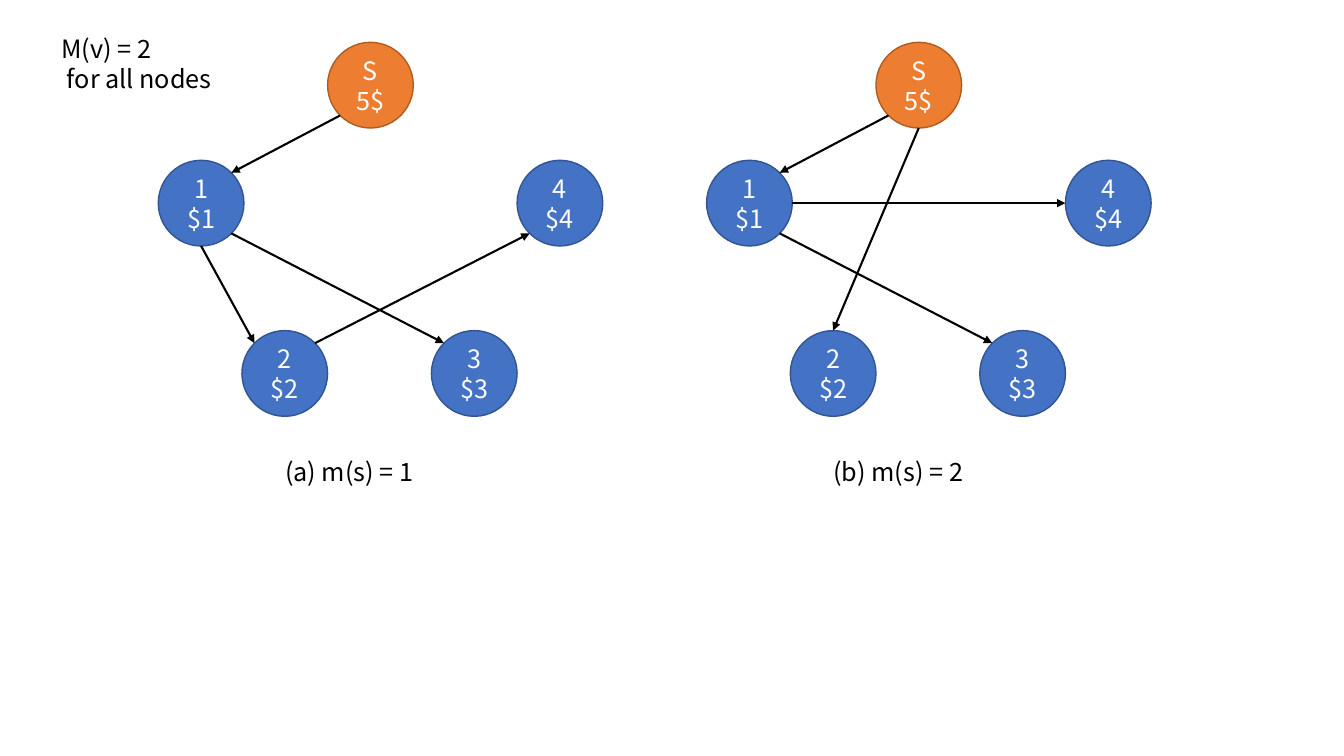
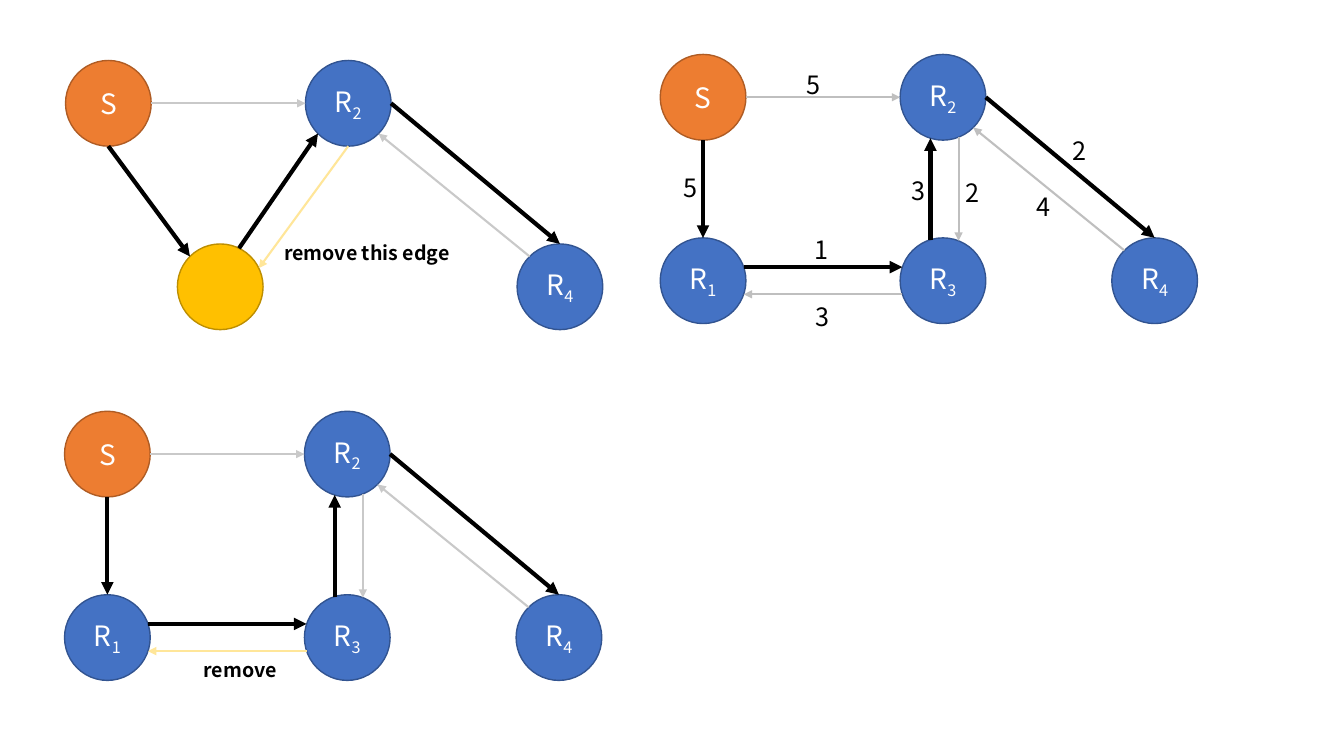
"""Build two slides of node-and-arrow diagrams on multicast trees."""
import math

import lxml.etree
import pptx
import pptx.dml.color
import pptx.enum.shapes
import pptx.enum.text
import pptx.oxml.ns
import pptx.util

FONT = "Noto Sans CJK JP"
BLACK, WHITE = "000000", "FFFFFF"
SOURCE = ("ED7D31", "AF5C24")
RECEIVER = ("4472C4", "325491")
LEAVING = ("FFC000", "BD8E00")
REMOVED = "FFE699"
DIAMETER = 61.2
E, SE, S, SW, W, NW, N, NE = range(0, 360, 45)
THIN, THICK = 1.5, 3
ROW_STEP = 131.04
R2_LEFT, R4_LEFT = 171.36, 322.56
TREE_NODES = {
    "S": (120.96, 0, ["S 5$"]),
    "1": (0, 84.24, ["1", "$1"]),
    "2": (59.76, 205.92, ["2", "$2"]),
    "3": (195.12, 205.92, ["3", "$3"]),
    "4": (256.32, 84.24, ["4", "$4"]),
}
SQUARE_NODES = {
    "S": (0, 0, SOURCE),
    "R_1": (0, ROW_STEP, RECEIVER),
    "R_2": (R2_LEFT, 0, RECEIVER),
    "R_3": (R2_LEFT, ROW_STEP, RECEIVER),
    "R_4": (R4_LEFT, ROW_STEP, RECEIVER),
}
TRIANGLE_NODES = {
    "S": (0, 0, SOURCE),
    "": (79.92, ROW_STEP, LEAVING),
    "R_2": (R2_LEFT, 0, RECEIVER),
    "R_4": (R4_LEFT, ROW_STEP, RECEIVER),
}


def rgb(value):
    """Turn a hex string into a colour."""
    return pptx.dml.color.RGBColor.from_string(value)


def write(frame, paragraphs, size=18, color=BLACK, bold=False, align="LEFT"):
    """Write paragraphs; an underscore starts a subscript."""
    frame.word_wrap = True
    for index, words in enumerate(paragraphs):
        paragraph = frame.paragraphs[0] if index == 0 else frame.add_paragraph()
        paragraph.alignment = getattr(pptx.enum.text.PP_ALIGN, align)
        for level, part in enumerate(words.split("_")):
            run = paragraph.add_run()
            run.text = part
            run.font.name = FONT
            run.font.size = pptx.util.Pt(size)
            run.font.bold = bold
            run.font.color.rgb = rgb(color)
            if level:
                run.font._element.set("baseline", "-25000")


def add_label(shapes, left, top, width, height, paragraphs, **style):
    """Place a text box."""
    box = shapes.add_textbox(*map(pptx.util.Pt, (left, top, width, height)))
    write(box.text_frame, paragraphs, **style)


def add_node(shapes, left, top, colors, paragraphs, size):
    """Draw a round node and return its centre."""
    node = shapes.add_shape(
        pptx.enum.shapes.MSO_SHAPE.OVAL,
        *map(pptx.util.Pt, (left, top, DIAMETER, DIAMETER)))
    node.shadow.inherit = False
    node.fill.solid()
    node.fill.fore_color.rgb = rgb(colors[0])
    node.line.color.rgb = rgb(colors[1])
    node.line.width = pptx.util.Pt(1)
    node.text_frame.vertical_anchor = pptx.enum.text.MSO_ANCHOR.MIDDLE
    if any(paragraphs):
        write(node.text_frame, paragraphs, size=size, color=WHITE, align="CENTER")
    return left + DIAMETER / 2, top + DIAMETER / 2


def rim_point(center, degrees):
    """Find the point on a node's rim, clockwise from east."""
    angle = math.radians(degrees)
    return (center[0] + DIAMETER / 2 * math.cos(angle),
            center[1] + DIAMETER / 2 * math.sin(angle))


def add_edge(shapes, start, end, color=BLACK, width=THIN):
    """Draw an arrow between two points."""
    edge = shapes.add_connector(
        pptx.enum.shapes.MSO_CONNECTOR.STRAIGHT,
        *map(pptx.util.Pt, (*start, *end)))
    edge.line.color.rgb = rgb(color)
    edge.line.width = pptx.util.Pt(width)
    qn = pptx.oxml.ns.qn
    properties = edge._element.spPr
    lxml.etree.SubElement(properties.find(qn("a:ln")), qn("a:tailEnd"), type="triangle")
    lxml.etree.SubElement(properties, qn("a:effectLst"))


def add_tree(shapes, left, edges, caption):
    """Draw a priced tree with its caption."""
    top = 30.24
    centers = {}
    for name, (x, y, words) in TREE_NODES.items():
        colors = SOURCE if name == "S" else RECEIVER
        centers[name] = add_node(shapes, left + x, top + y, colors, words, 18)
    for origin, leave, target, arrive in edges:
        add_edge(shapes, rim_point(centers[origin], leave),
                 rim_point(centers[target], arrive))
    add_label(shapes, left + 83.52, 322.56, 136, 28.8, [caption])


def add_network(slide, left, top, nodes, edges, unused):
    """Draw a grouped network and return the group's shapes."""
    shapes = slide.shapes.add_group_shape().shapes
    centers = {name: add_node(shapes, left + x, top + y, colors, [name], 20)
               for name, (x, y, colors) in nodes.items()}
    shared = [
        ("S", E, "R_2", W, unused, THIN),
        ("R_2", E, "R_4", N, BLACK, THICK),
        ("R_4", NW, "R_2", SE, unused, THIN),
    ]
    for origin, leave, target, arrive, color, width in shared + edges:
        add_edge(shapes, rim_point(centers[origin], leave),
                 rim_point(centers[target], arrive), color, width)
    return shapes


def square_edges(unused, back):
    """List the edges around R1 and R3."""
    return [
        ("S", S, "R_1", N, BLACK, THICK),
        ("R_3", N - 17, "R_2", S + 17, BLACK, THICK),
        ("R_2", S - 21.4, "R_3", N + 21.4, unused, THIN),
        ("R_3", W - 18.5, "R_1", E + 18.5, back, THIN),
        ("R_1", E - 18.5, "R_3", W + 18.5, BLACK, THICK),
    ]


def build_trees(slide):
    """Fill the slide that compares two trees."""
    shared = [("S", SW, "1", NE), ("1", SE, "3", NW)]
    add_tree(slide.shapes, 113.04,
             shared + [("1", S, "2", NW), ("2", NE, "4", SW)], "(a) m(s) = 1")
    add_tree(slide.shapes, 504.72,
             shared + [("1", E, "4", W), ("S", S, "2", N)], "(b) m(s) = 2")
    add_label(slide.shapes, 36.72, 20.16, 136, 51.12, ["M(v) = 2", " for all nodes"])


def build_networks(slide):
    """Fill the slide on removing edges."""
    pale, grey = "C9C9C9", "BFBFBF"
    triangle_edges = [
        ("", -64, "R_2", SW, BLACK, THICK),
        ("S", S, "", NW, BLACK, THICK),
        ("R_2", S, "", -25.7, REMOVED, THIN),
    ]
    triangle = add_network(slide, 46.8, 43.2, TRIANGLE_NODES, triangle_edges, pale)
    add_label(triangle, 195.84, 168.48, 140, 24.48, ["remove this edge"],
              size=14, bold=True)

    left, top = 471.6, 38.88
    weighted = add_network(slide, left, top, SQUARE_NODES,
                           square_edges(grey, grey), grey)
    weights = [
        ("5", 9.4, 80.6), ("5", 97.2, 7.2), ("1", 103, 125.3), ("3", 103.7, 172.8),
        ("3", 172.1, 82.8), ("2", 211, 84.2), ("4", 261.4, 94.3), ("2", 287.3, 54),
    ]
    for weight, x, y in weights:
        add_label(weighted, left + x, top + y, 15.84, 28.8, [weight])

    reduced = add_network(slide, 46.08, 293.76, SQUARE_NODES,
                          square_edges(pale, REMOVED), pale)
    add_label(reduced, 138.24, 466.56, 68, 24.48, ["remove"], size=14, bold=True)


def main():
    """Build and save the presentation."""
    deck = pptx.Presentation()
    deck.slide_width = pptx.util.Pt(960)
    deck.slide_height = pptx.util.Pt(540)
    for build in (build_trees, build_networks):
        build(deck.slides.add_slide(deck.slide_layouts[6]))
    deck.save("out.pptx")


main()
